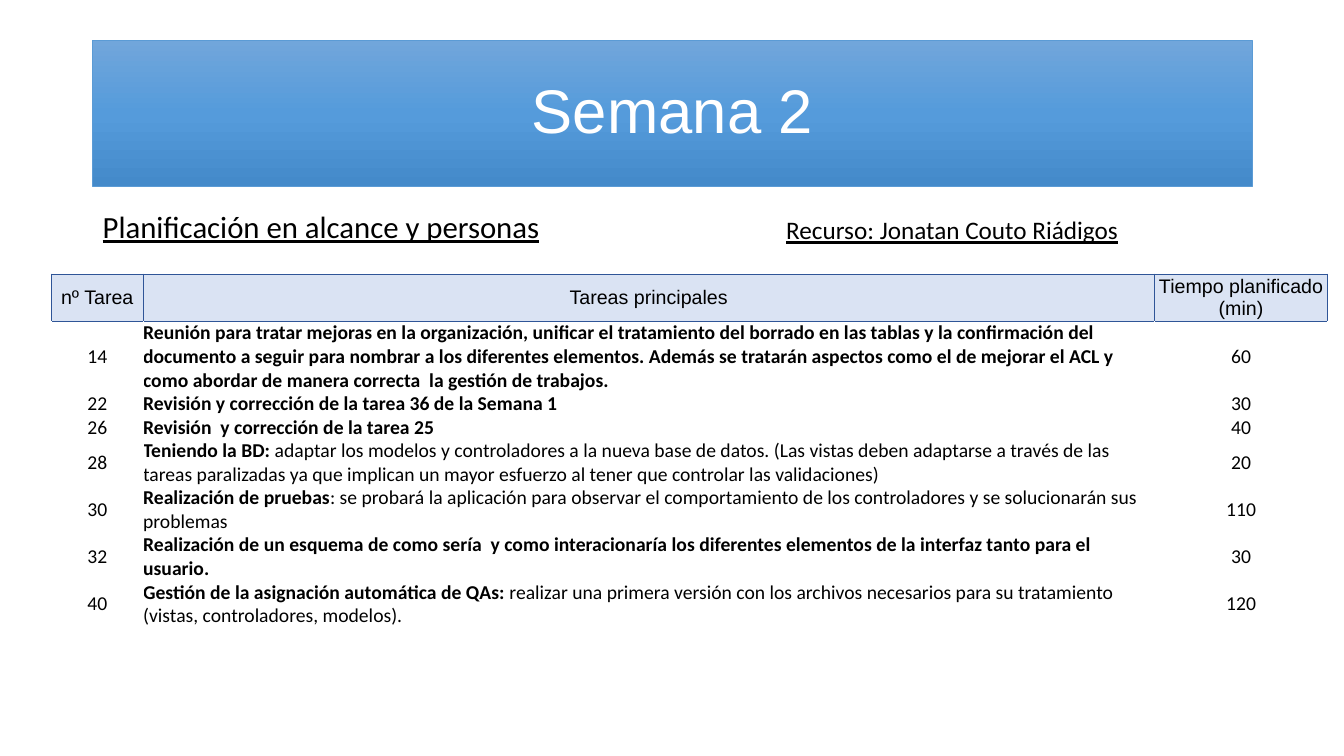
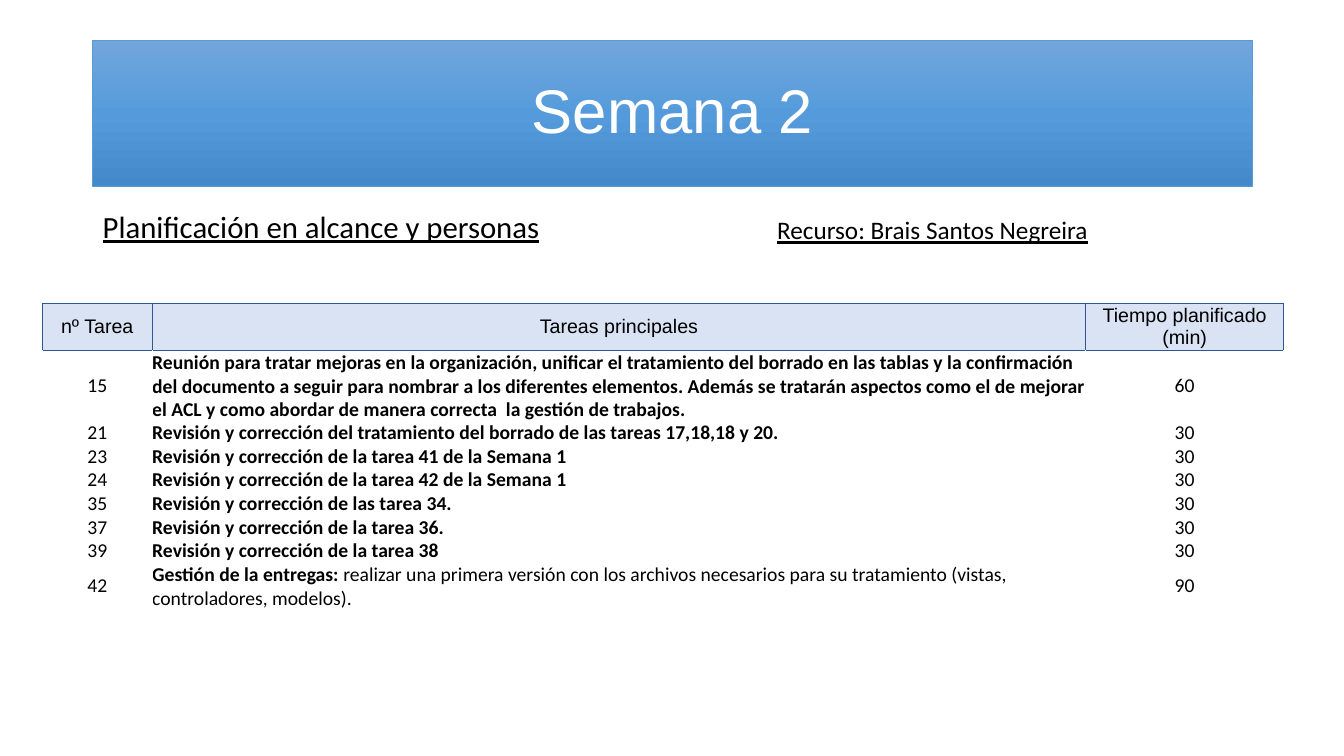
import copy
import dataclasses

import pptx
import pptx.dml.color
import pptx.enum.shapes
import pptx.enum.text
import pptx.oxml
import pptx.oxml.ns
import pptx.util

Inches = pptx.util.Inches
Pt = pptx.util.Pt
Align = pptx.enum.text.PP_ALIGN
Anchor = pptx.enum.text.MSO_ANCHOR


@dataclasses.dataclass(frozen=True)
class Theme:
    # Colours
    ink: str = "000000"
    title_ink: str = "FFFFFF"
    band_stops: tuple = ((0, "71A6DB"), (0.5, "559BDB"), (1, "448ACA"))
    band_line: str = "5B9BD5"
    header_fill: str = "DAE3F3"
    border: str = "2F5597"
    # Fonts and type sizes
    heading_font: str = "Arial"
    body_font: str = "Calibri"
    title_size: int = 44
    subtitle_size: int = 22
    resource_size: int = 18
    table_size: int = 14


def rgb(code):
    return pptx.dml.color.RGBColor.from_string(code)


def add_span(para, text, *, size, font, color, bold=False, underline=False):
    span = para.add_run()
    span.text = text
    span.font.size = Pt(size)
    span.font.name = font
    span.font.color.rgb = rgb(color)
    span.font.bold = bold
    span.font.underline = underline


def add_borders(cell, color, sides):
    properties = cell._tc.get_or_add_tcPr()
    for side in sides:
        properties.append(pptx.oxml.parse_xml(
            f'<a:ln{side} {pptx.oxml.ns.nsdecls("a")} w="{Pt(1)}">'
            f'<a:solidFill><a:srgbClr val="{color}"/></a:solidFill></a:ln{side}>'))


class PlanDeck:
    HEADERS = ("nº Tarea", "Tareas principales", "Tiempo planificado (min)")

    def __init__(self, theme):
        self.theme = theme
        self.deck = pptx.Presentation()
        self.deck.slide_width = Inches(13.33)
        self.deck.slide_height = Inches(7.5)
        self.page = None

    def add_page(self):
        self.page = self.deck.slides.add_slide(self.deck.slide_layouts[6])

    def add_title(self, text):
        theme = self.theme
        band = self.page.shapes.add_shape(
            pptx.enum.shapes.MSO_SHAPE.RECTANGLE,
            Inches(0.92), Inches(0.4), Inches(11.5), Inches(1.45))
        band.shadow.inherit = False
        band.line.color.rgb = rgb(theme.band_line)
        band.line.width = Pt(0.5)

        # The default gradient has two stops; the band needs a third
        band.fill.gradient()
        band.fill.gradient_angle = 270
        stop_list = band._element.spPr.find(".//" + pptx.oxml.ns.qn("a:gsLst"))
        stop_list.append(copy.deepcopy(stop_list[-1]))
        for stop, (position, color) in zip(band.fill.gradient_stops, theme.band_stops):
            stop.position = position
            stop.color.rgb = rgb(color)

        band.text_frame.vertical_anchor = Anchor.MIDDLE
        para = band.text_frame.paragraphs[0]
        para.alignment = Align.CENTER
        para.line_spacing = 0.9
        add_span(para, text, size=theme.title_size, font=theme.heading_font,
                 color=theme.title_ink)

    def add_label(self, text, left, top, width, height, size):
        box = self.page.shapes.add_textbox(
            Inches(left), Inches(top), Inches(width), Inches(height))
        box.text_frame.word_wrap = True
        box.text_frame.auto_size = pptx.enum.text.MSO_AUTO_SIZE.SHAPE_TO_FIT_TEXT
        add_span(box.text_frame.paragraphs[0], text, size=size,
                 font=self.theme.body_font, color=self.theme.ink, underline=True)

    def fill_cell(self, cell, *spans, align=Align.CENTER, font=None,
                  fill=None, borders=()):
        theme = self.theme
        cell.margin_left = cell.margin_right = cell.margin_top = cell.margin_bottom = 0
        cell.vertical_anchor = Anchor.MIDDLE
        add_borders(cell, theme.border, borders)
        if fill:
            cell.fill.solid()
            cell.fill.fore_color.rgb = rgb(fill)
        else:
            cell.fill.background()
        para = cell.text_frame.paragraphs[0]
        para.alignment = align
        for text, bold in spans:
            if text:
                add_span(para, text, size=theme.table_size,
                         font=font or theme.body_font, color=theme.ink, bold=bold)

    def add_task_table(self, left, top, widths, tasks):
        # Rows start one text line high and grow with their text
        line_height = 0.23
        frame = self.page.shapes.add_table(
            len(tasks) + 1, len(widths), Inches(left), Inches(top),
            Inches(sum(widths)), Inches(line_height * (len(tasks) + 1)))
        table = frame.table
        table.first_row = table.horz_banding = False
        for column, width in zip(table.columns, widths):
            column.width = Inches(width)

        # Header row
        for index, header in enumerate(self.HEADERS):
            self.fill_cell(table.cell(0, index), (header, False),
                           font=self.theme.heading_font,
                           fill=self.theme.header_fill, borders="LRTB")

        # Task rows
        for row, (number, lead, detail, minutes) in enumerate(tasks, start=1):
            borders = "T" if row == 1 else ""
            self.fill_cell(table.cell(row, 0), (str(number), False), borders=borders)
            self.fill_cell(table.cell(row, 1), (lead, True), (detail, False),
                           align=Align.LEFT, borders=borders)
            self.fill_cell(table.cell(row, 2), (str(minutes), False), borders=borders)

    def add_plan(self, person, person_left, table_left, table_top, widths, tasks):
        self.add_page()
        self.add_title("Semana 2")
        self.add_label("Planificación en alcance y personas",
                       0.92, 2.01, 4.57, 0.47, self.theme.subtitle_size)
        self.add_label(f"Recurso: {person}",
                       person_left, 2.08, 3.67, 0.4, self.theme.resource_size)
        self.add_task_table(table_left, table_top, widths, tasks)


# Tasks: number, bold lead, plain detail, minutes
MEETING = (
    "Reunión para tratar mejoras en la organización, unificar el tratamiento del "
    "borrado en las tablas y la confirmación del documento a seguir para nombrar a "
    "los diferentes elementos. Además se tratarán aspectos como el de mejorar el ACL "
    "y como abordar de manera correcta  la gestión de trabajos.")
FIRST_VERSION = (
    " realizar una primera versión con los archivos necesarios para su tratamiento "
    "(vistas, controladores, modelos).")

JONATAN_TASKS = (
    (14, MEETING, "", 60),
    (22, "Revisión y corrección de la tarea 36 de la Semana 1", "", 30),
    (26, "Revisión  y corrección de la tarea 25", "", 40),
    (28, "Teniendo la BD: ",
     "adaptar los modelos y controladores a la nueva base de datos. (Las vistas deben "
     "adaptarse a través de las tareas paralizadas ya que implican un mayor esfuerzo "
     "al tener que controlar las validaciones)", 20),
    (30, "Realización de pruebas",
     ": se probará la aplicación para observar el comportamiento de los controladores "
     "y se solucionarán sus problemas", 110),
    (32, "Realización de un esquema de como sería  y como interacionaría los "
     "diferentes elementos de la interfaz tanto para el usuario.", "", 30),
    (40, "Gestión de la asignación automática de QAs:", FIRST_VERSION, 120),
)

BRAIS_TASKS = (
    (15, MEETING, "", 60),
    (21, "Revisión y corrección del tratamiento del borrado de las tareas "
     "17,18,18 y 20.", "", 30),
    (23, "Revisión y corrección de la tarea 41 de la Semana 1", "", 30),
    (24, "Revisión y corrección de la tarea 42 de la Semana 1", "", 30),
    (35, "Revisión y corrección de las tarea 34.", "", 30),
    (37, "Revisión y corrección de la tarea 36.", "", 30),
    (39, "Revisión y corrección de la tarea 38", "", 30),
    (42, "Gestión de la entregas:", FIRST_VERSION, 90),
)


def main():
    plan = PlanDeck(Theme())
    plan.add_plan("Jonatan Couto Riádigos", 7.7, 0.51, 2.72,
                  (0.91, 10.03, 1.72), JONATAN_TASKS)
    plan.add_plan("Brais Santos Negreira", 7.61, 0.42, 3.01,
                  (1.09, 9.26, 1.96), BRAIS_TASKS)
    plan.deck.save("out.pptx")


if __name__ == "__main__":
    main()
